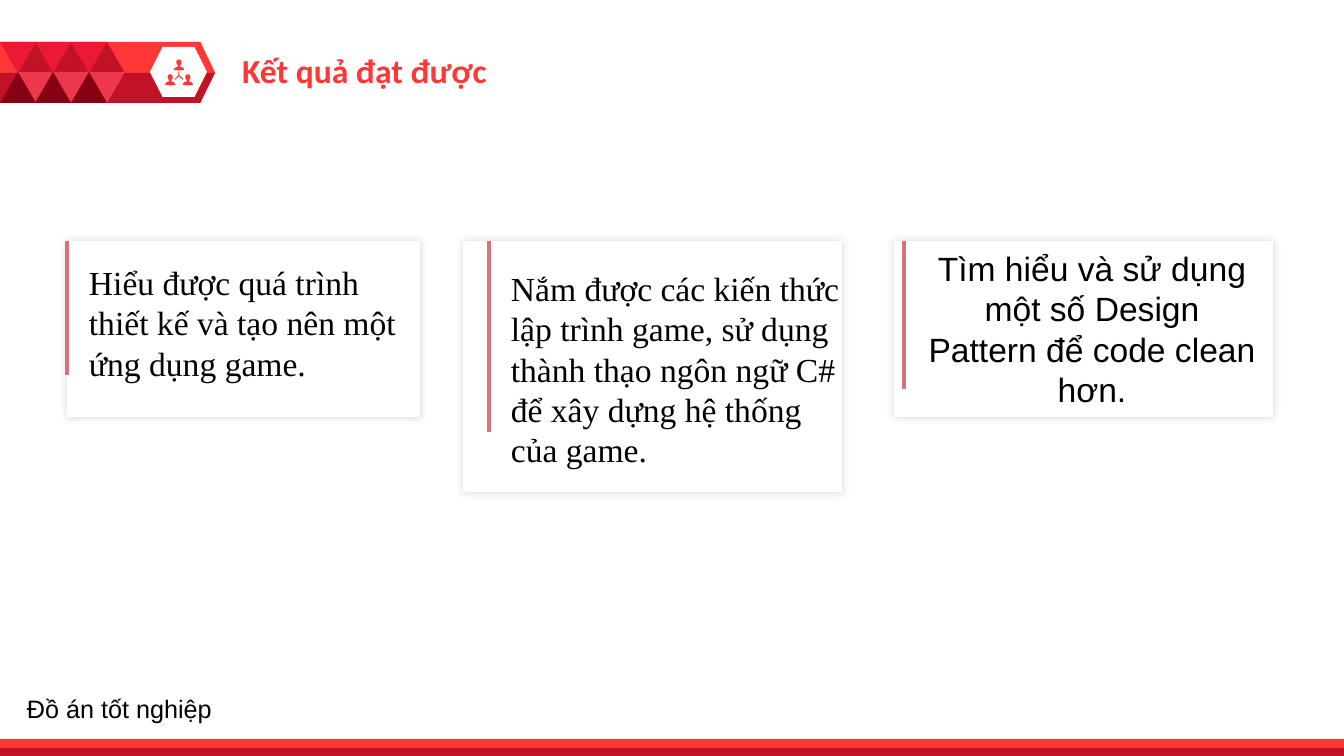
from lxml import etree
from pptx import Presentation
from pptx.dml.color import RGBColor
from pptx.enum.shapes import MSO_CONNECTOR, MSO_SHAPE
from pptx.enum.text import MSO_ANCHOR, MSO_AUTO_SIZE, PP_ALIGN
from pptx.oxml import parse_xml
from pptx.oxml.ns import nsdecls, qn
from pptx.util import Pt

EMU_PER_PX = 914400 / 100.8
SLIDE_WIDTH, SLIDE_HEIGHT = 1344, 756
TITLE_ONLY = 5

WHITE = RGBColor(0xFF, 0xFF, 0xFF)
BLACK = RGBColor(0x00, 0x00, 0x00)
RED = RGBColor(0xFF, 0x37, 0x37)
CRIMSON = RGBColor(0xC2, 0x12, 0x27)
SCARLET = RGBColor(0xEB, 0x19, 0x32)
ROSE = RGBColor(0xED, 0x37, 0x4D)
MAROON = RGBColor(0x88, 0x00, 0x14)
PINK = RGBColor(0xD8, 0x71, 0x7B)

RECTANGLE = MSO_SHAPE.RECTANGLE
TRIANGLE = MSO_SHAPE.ISOSCELES_TRIANGLE
HEXAGON = MSO_SHAPE.HEXAGON
PENTAGON = MSO_SHAPE.PENTAGON
STRAIGHT = MSO_CONNECTOR.STRAIGHT
TOP = MSO_ANCHOR.TOP
FIXED, GROW = MSO_AUTO_SIZE.NONE, MSO_AUTO_SIZE.SHAPE_TO_FIT_TEXT
LEFT, CENTER = PP_ALIGN.LEFT, PP_ALIGN.CENTER

CARD_SHADOW = (
    f'<a:effectLst {nsdecls("a")}><a:outerShdw blurRad="76200" dist="0" dir="0" '
    'algn="ctr" rotWithShape="0"><a:srgbClr val="3F3F3F"><a:alpha val="20000"/>'
    '</a:srgbClr></a:outerShdw></a:effectLst>'
)


def px(length):
    return round(length * EMU_PER_PX)


def write_text(shape, text, *, font="Times New Roman", size=24, color=BLACK,
               bold=False, align=LEFT, auto_size=GROW):
    frame = shape.text_frame
    frame.text = text
    frame.word_wrap = True
    frame.auto_size = auto_size
    frame.vertical_anchor = TOP
    paragraph = frame.paragraphs[0]
    paragraph.alignment = align
    run_font = paragraph.runs[0].font
    run_font.name, run_font.size, run_font.bold = font, Pt(size), bold
    run_font.color.rgb = color


class SlideBuilder:
    def __init__(self, slide):
        self.slide = slide
        self.shapes = slide.shapes

    def paint(self, shape, color):
        shape.shadow.inherit = False
        shape.fill.solid()
        shape.fill.fore_color.rgb = color
        shape.line.fill.background()
        return shape

    def preset(self, kind, box, color, adjustment=None, rotation=0):
        shape = self.shapes.add_shape(kind, *map(px, box))
        if adjustment is not None:
            shape.adjustments[0] = adjustment
        shape.rotation = rotation
        return self.paint(shape, color)

    def outline(self, contours, color, units_per_px=1):
        first, *others = contours
        builder = self.shapes.build_freeform(*first[0], scale=EMU_PER_PX / units_per_px)
        builder.add_line_segments(first[1:])
        for contour in others:
            builder.move_to(*contour[0])
            builder.add_line_segments(contour[1:])
        return self.paint(builder.convert_to_shape(), color)

    def accent(self, x, top, bottom):
        line = self.shapes.add_connector(STRAIGHT, px(x), px(top), px(x), px(bottom))
        line.line.color.rgb = PINK
        line.line.width = Pt(3)
        etree.SubElement(line._element.spPr, qn("a:effectLst"))

    def title(self, text, box, **style):
        title = self.shapes.title
        title.left, title.top, title.width, title.height = map(px, box)
        write_text(title, text, **style)

    def text(self, text, box, **style):
        write_text(self.shapes.add_textbox(*map(px, box)), text, **style)

    def card(self, text, box, accent_x, accent_bottom, text_box, **style):
        panel = self.preset(RECTANGLE, box, WHITE)
        properties = panel._element.spPr
        properties.replace(properties.find(qn("a:effectLst")), parse_xml(CARD_SHADOW))
        self.accent(accent_x, box[1], accent_bottom)
        self.text(text, text_box, **style)


def person(center, top):
    """Head and shoulders, in tenths of a px."""
    half = [(0, 0), (18, 5), (25, 18), (25, 38), (12, 58),
            (15, 72), (40, 82), (53, 104), (0, 111)]
    mirrored = [(-x, y) for x, y in half[-2:0:-1]]
    return [(center + x, top + y) for x, y in half + mirrored]


def main():
    presentation = Presentation()
    presentation.slide_width = px(SLIDE_WIDTH)
    presentation.slide_height = px(SLIDE_HEIGHT)
    layout = presentation.slide_layouts[TITLE_ONLY]
    page = SlideBuilder(presentation.slides.add_slide(layout))

    # Header banner
    page.preset(PENTAGON, (0, 42, 215, 61), RED, adjustment=0.239)
    page.outline([[(0, 73), (215, 73), (200, 103), (0, 103)]], CRIMSON)
    page.preset(HEXAGON, (150, 47, 57, 50), WHITE, adjustment=0.25)

    # People icon
    links = [(1785, 716), (1795, 716), (1795, 753), (1835, 790), (1829, 798),
             (1790, 763), (1751, 798), (1745, 790), (1785, 753)]
    people = [person(1790, 595), person(1702, 743), person(1878, 743)]
    page.outline([links, *people], RED, units_per_px=10)

    # Triangle mosaic
    triangles = [(0, 42, SCARLET, 180), (18, 42, CRIMSON, 0),
                 (18, 72, ROSE, 180), (0, 72, MAROON, 0)]
    for column in range(3):
        for offset, top, color, rotation in triangles:
            left = column * 71 // 2 + offset
            page.preset(TRIANGLE, (left, top, 36, 31), color, rotation=rotation)

    # Footer bands
    page.preset(RECTANGLE, (0, 739, SLIDE_WIDTH, 17), RED)
    page.preset(RECTANGLE, (0, 748, SLIDE_WIDTH, 8), CRIMSON)

    # Title and footer text
    page.title("Kết quả đạt được", (232, 45, 425, 50),
               font="Calibri", color=RED, bold=True)
    page.text("Đồ án tốt nghiệp", (17, 688, 285, 40),
              font="Arial", size=18, auto_size=FIXED)

    # Result cards
    page.card("Nắm được các kiến thức lập trình game, sử dụng thành thạo "
              "ngôn ngữ C# để xây dựng hệ thống của game.",
              (463, 241, 379, 251), 489, 432, (501, 263, 352, 214))
    page.card("Hiểu được quá trình thiết kế và tạo nên một ứng dụng game.",
              (67, 241, 353, 176), 67, 375, (79, 257, 353, 132))
    page.card("Tìm hiểu và sử dụng một số Design Pattern để code clean hơn.",
              (894, 241, 379, 176), 904, 389, (916, 243, 352, 172),
              font="Arial", align=CENTER)

    presentation.save("out.pptx")


if __name__ == "__main__":
    main()
